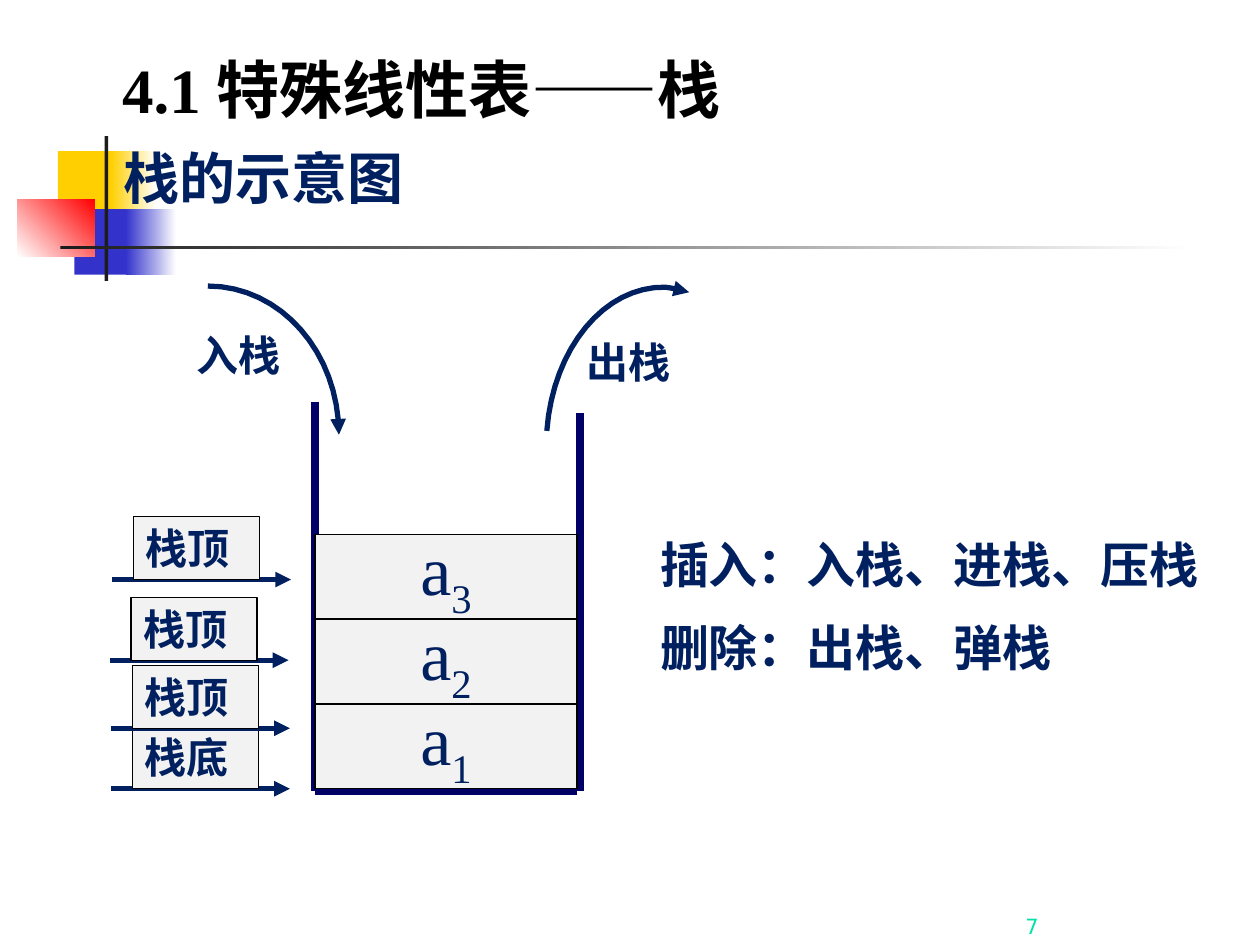
from dataclasses import dataclass

from lxml.etree import SubElement
from pptx import Presentation
from pptx.dml.color import RGBColor
from pptx.enum.shapes import MSO_CONNECTOR as Connector, MSO_SHAPE as Shape
from pptx.enum.text import MSO_ANCHOR as Anchor, PP_ALIGN as Align
from pptx.oxml import parse_xml
from pptx.oxml.ns import nsdecls, qn
from pptx.slide import Slide
from pptx.util import Inches, Pt

NAVY = RGBColor(0x00, 0x20, 0x60)
WALL = RGBColor(0x00, 0x00, 0x66)
BLACK = RGBColor(0x00, 0x00, 0x00)
WHITE = RGBColor(0xFF, 0xFF, 0xFF)
CELL = RGBColor(0xF2, 0xF2, 0xF2)
GOLD = RGBColor(0xFF, 0xCF, 0x01)
BLUE = RGBColor(0x33, 0x33, 0xCC)
RED = RGBColor(0xFF, 0x00, 0x00)
CHARCOAL = RGBColor(0x1C, 0x1C, 0x1C)
MINT = RGBColor(0x00, 0xE4, 0xA8)

TEXT_SHADOW = (
    f'<a:effectLst {nsdecls("a")}><a:outerShdw dist="28575" dir="2700000">'
    '<a:srgbClr val="1C1C1C"/></a:outerShdw></a:effectLst>'
)


def bezier(points, steps=16):
    for step in range(1, steps + 1):
        t = step / steps
        weights = ((1 - t) ** 3, 3 * t * (1 - t) ** 2, 3 * t**2 * (1 - t), t**3)
        yield tuple(
            Inches(sum(w * p[axis] for w, p in zip(weights, points)))
            for axis in (0, 1)
        )


@dataclass
class StackPage:
    page: Slide
    font: str = "Times New Roman"
    color: RGBColor = NAVY

    def rect(self, left, top, width, height, fill, fade=None, angle=0, line=None):
        box = self.page.shapes.add_shape(
            Shape.RECTANGLE, Inches(left), Inches(top), Inches(width), Inches(height)
        )
        box.shadow.inherit = False
        if fade is None:
            box.fill.solid()
            box.fill.fore_color.rgb = fill
        else:
            box.fill.gradient()
            box.fill.gradient_angle = angle
            for stop, color in zip(box.fill.gradient_stops, (fill, fade)):
                stop.color.rgb = color
        if line is None:
            box.line.fill.background()
        else:
            box.line.color.rgb = line
            box.line.width = Pt(0.75)
        return box

    def stroke(self, shape, color, width, arrow):
        shape.line.color.rgb = color
        shape.line.width = Pt(width)
        if arrow:
            SubElement(shape.get_or_add_ln(), qn("a:tailEnd"), type="triangle")

    def line(self, start, end, color, width, arrow=False):
        connector = self.page.shapes.add_connector(
            Connector.STRAIGHT, *map(Inches, start + end)
        )
        self.stroke(connector, color, width, arrow)
        SubElement(connector.element.spPr, qn("a:effectLst"))

    def curve(self, points):
        builder = self.page.shapes.build_freeform(*map(Inches, points[0]))
        for first in range(0, len(points) - 1, 3):
            builder.add_line_segments(bezier(points[first:first + 4]), close=False)
        shape = builder.convert_to_shape()
        shape.shadow.inherit = False
        shape.fill.background()
        self.stroke(shape, self.color, 3, arrow=True)

    def span(self, para, text, size, color=None, font=None, bold=True):
        span = para.add_run()
        span.text = text
        span.font.size = Pt(size)
        span.font.bold = bold
        span.font.color.rgb = color or self.color
        span.font.name = font or self.font
        return span

    def text_box(self, left, top, width, height):
        box = self.page.shapes.add_textbox(
            Inches(left), Inches(top), Inches(width), Inches(height)
        )
        box.text_frame.word_wrap = True
        return box.text_frame

    def text(self, left, top, width, height, lines, size):
        frame = self.text_box(left, top, width, height)
        for index, line in enumerate(lines):
            para = frame.add_paragraph() if index else frame.paragraphs[0]
            if index:
                para.space_before = Pt(size / 2)
            self.span(para, line, size)

    def title(self, left, top, width, height, text):
        frame = self.text_box(left, top, width, height)
        frame.margin_left = Inches(0.22)
        span = self.span(frame.paragraphs[0], text, 36, BLACK)
        fill = span.font._element.find(qn("a:solidFill"))
        fill.addnext(parse_xml(TEXT_SHADOW))

    def page_number(self, left, top, width, height, number):
        frame = self.text_box(left, top, width, height)
        frame.vertical_anchor = Anchor.BOTTOM
        para = frame.paragraphs[0]
        para.alignment = Align.CENTER
        self.span(para, number, 12, MINT, "DejaVu Sans", bold=False)

    def element(self, left, top, width, height, index):
        frame = self.rect(left, top, width, height, CELL, line=BLACK).text_frame
        frame.word_wrap = False
        frame.vertical_anchor = Anchor.MIDDLE
        frame.margin_top = 0
        para = frame.paragraphs[0]
        para.alignment = Align.CENTER
        self.span(para, "a", 40, bold=False)
        subscript = self.span(para, index, 40, bold=False)
        subscript.font._element.set("baseline", "-25000")

    def pointer(self, left, level, text):
        self.line((left, level), (left + 1.42, level), self.color, 3, arrow=True)
        frame = self.rect(
            left + 0.17, level - 0.5, 1, 0.5, CELL, line=BLACK
        ).text_frame
        frame.vertical_anchor = Anchor.TOP
        para = frame.paragraphs[0]
        para.alignment = Align.LEFT
        self.span(para, text, 24)


def main():
    deck = Presentation()
    deck.slide_width, deck.slide_height = Inches(10), Inches(7.5)
    stack = StackPage(deck.slides.add_slide(deck.slide_layouts[6]))

    stack.rect(0.46, 1.2, 0.48, 0.52, GOLD)
    stack.rect(0.88, 1.2, 0.36, 0.52, GOLD, WHITE)
    stack.rect(0.59, 1.66, 0.46, 0.52, BLUE)
    stack.rect(1, 1.66, 0.4, 0.52, BLUE, WHITE)
    stack.rect(0.14, 1.58, 0.61, 0.46, WHITE, RED, angle=45)
    stack.rect(0.83, 1.08, 0.03, 1.15, CHARCOAL)
    stack.rect(0.48, 1.95, 9, 0.03, CHARCOAL, WHITE)

    for start, end in (
        ((2.5, 3.19), (2.5, 6.28)),
        ((2.5, 6.28), (4.58, 6.28)),
        ((4.6, 3.28), (4.6, 6.28)),
    ):
        stack.line(start, end, WALL, 4.5)
    for order, index in enumerate("123"):
        stack.element(2.5, 5.59 - 0.675 * order, 2.08, 0.67, index)

    stack.curve([(1.65, 2.27), (2.23, 2.27), (2.69, 2.8), (2.69, 3.45)])
    stack.text(1.46, 2.57, 0.98, 0.5, ["入栈"], 24)
    stack.curve([
        (4.34, 3.42), (4.39, 2.76), (4.8, 2.27), (5.28, 2.28),
        (5.35, 2.29), (5.41, 2.3), (5.47, 2.32),
    ])
    stack.text(4.56, 2.62, 0.92, 0.5, ["出栈"], 24)

    stack.pointer(0.88, 6.26, "栈底")
    for left, level in ((0.89, 4.6), (0.88, 5.78), (0.87, 5.24)):
        stack.pointer(left, level, "栈顶")

    operations = ["插入：入栈、进栈、压栈", "删除：出栈、弹栈"]
    stack.text(5.14, 4.19, 4.51, 1.27, operations, 28)
    stack.text(0.88, 1.09, 5.58, 0.63, ["栈的示意图"], 32)
    stack.title(0.75, 0.35, 5.37, 0.7, "4.1 特殊线性表——栈")
    stack.page_number(6.38, 7.26, 3.62, 0.24, "7")

    deck.save("out.pptx")


if __name__ == "__main__":
    main()
